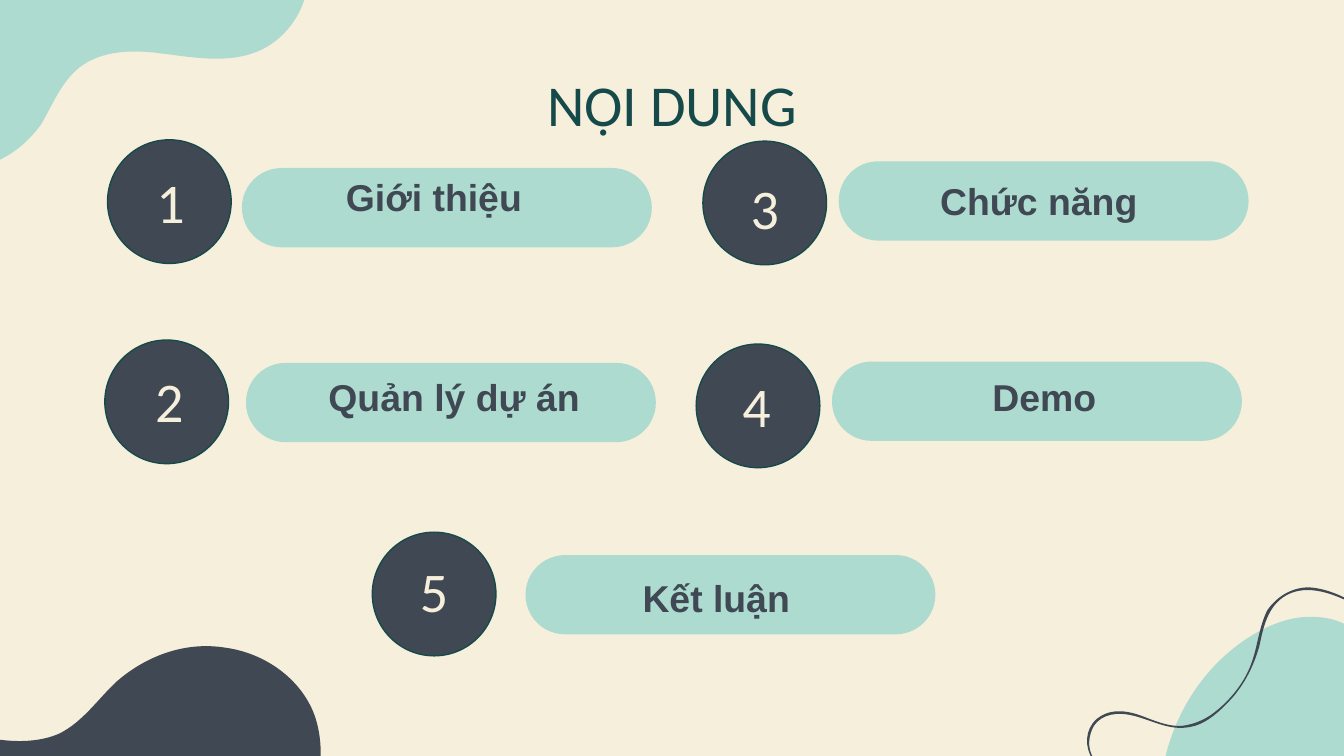
from pptx import Presentation
from pptx.dml.color import RGBColor
from pptx.enum.shapes import MSO_SHAPE
from pptx.enum.text import MSO_ANCHOR, PP_ALIGN
from pptx.oxml.ns import qn
from pptx.util import Pt

PX = 9144
SLIDE_WIDTH = 1000 * PX
SLIDE_HEIGHT = SLIDE_WIDTH * 9 // 16

CREAM = RGBColor(0xF6, 0xEF, 0xDC)
MINT = RGBColor(0xAD, 0xDB, 0xD0)
SLATE = RGBColor(0x3F, 0x48, 0x53)
TEAL = RGBColor(0x16, 0x4A, 0x4A)

BADGE_SIZE = (92, 92)
PILL_SIZE = (305, 59)
NUMBER_SIZE = (74, 77)
LABEL_SIZE = (300, 59)

ITEMS = [
    ("1", "Giới thiệu", (80, 104), (100, 21), (10, 7), (93, 16)),
    ("2", "Quản lý dự án", (78, 253), (105, 17), (11, 6), (110, 16)),
    ("3", "Chức năng", (523, 105), (101, 15), (9, 11), (100, 18)),
    ("4", "Demo", (518, 256), (101, 13), (8, 7), (109, 13)),
    ("5", "Kết luận", (277, 396), (114, 17), (9, 5), (106, 22)),
]

MINT_HILL = [
    (977, 459), (976, 459), (975, 459), (974, 459), (958, 459), (942, 466), (928, 475),
    (896, 496), (874, 530), (866, 568), (866, 568), (1011, 568), (1011, 568),
    (1022, 554), (1030, 539), (1031, 525), (1034, 490), (1012, 459), (977, 459),
]
SLATE_HILL = [
    (234, 532), (224, 505), (197, 486), (168, 482), (138, 477), (109, 488), (87, 507),
    (73, 520), (62, 537), (44, 546), (18, 557), (-13, 549), (-40, 542),
    (-54, 538), (-70, 535), (-84, 535), (-84, 535), (-84, 587), (-84, 587),
    (-84, 587), (235, 587), (235, 587), (240, 568), (240, 549), (234, 532),
]
MINT_CLOUD = [
    (229, -21), (228, -29), (226, -37), (222, -43), (190, -87), (128, -32), (91, -66),
    (74, -82), (69, -93), (41, -84), (18, -77), (-1, -58), (-5, -34),
    (-7, -22), (-5, -9), (-6, 4), (-6, 11), (-7, 19), (-11, 25),
    (-23, 45), (-51, 48), (-63, 68), (-75, 90), (-56, 120), (-32, 124),
    (-7, 128), (17, 112), (31, 92), (39, 78), (45, 63), (57, 52),
    (72, 39), (93, 37), (113, 39), (116, 39), (119, 40), (122, 40),
    (145, 43), (169, 47), (190, 39), (214, 30), (231, 4), (229, -21),
]
SQUIGGLE = [
    (1016, 453), (1002, 445), (989, 438), (974, 437), (961, 437), (950, 444), (943, 454),
    (937, 466), (936, 479), (932, 491), (927, 507), (915, 522), (901, 532),
    (895, 536), (888, 539), (880, 540), (871, 541), (861, 537), (853, 534),
    (841, 529), (827, 526), (816, 535), (807, 543), (807, 556), (813, 565),
    (816, 570), (821, 575), (825, 579), (831, 585), (836, 592), (839, 600),
    (842, 611), (842, 623), (839, 634), (838, 635), (840, 636), (840, 635),
    (844, 622), (844, 608), (839, 596), (836, 590), (833, 585), (829, 580),
    (823, 574), (817, 570), (813, 563), (809, 556), (810, 547), (814, 540),
    (820, 531), (832, 530), (841, 532), (856, 535), (869, 544), (885, 541),
    (898, 539), (909, 528), (918, 518), (927, 507), (933, 495), (937, 481),
    (940, 467), (943, 451), (957, 443), (973, 434), (993, 442), (1008, 450),
    (1010, 452), (1012, 453), (1015, 454), (1016, 455), (1017, 453), (1016, 453),
]


def box(left, top, size):
    """Return left, top, width and height in EMU."""
    return [value * PX for value in (left, top, *size)]


def write_text(frame, text, *, size, font, color, bold=False, spacing=1.0, anchor=MSO_ANCHOR.MIDDLE):
    """Fill a text frame with one centred line in the given format."""
    frame.word_wrap = True
    frame.vertical_anchor = anchor
    frame.margin_left = frame.margin_right = frame.margin_top = frame.margin_bottom = 0
    paragraph = frame.paragraphs[0]
    paragraph.alignment = PP_ALIGN.CENTER
    paragraph.line_spacing = spacing
    run = paragraph.add_run()
    run.text = text
    run.font.size = Pt(size)
    run.font.name = font
    run.font.bold = bold
    run.font.color.rgb = color


def paint(shape, fill, outline=None):
    """Give a shape a flat fill and an optional thin outline."""
    shape.shadow.inherit = False
    shape.fill.solid()
    shape.fill.fore_color.rgb = fill
    if outline is None:
        shape.line.fill.background()
    else:
        shape.line.color.rgb = outline
        shape.line.width = Pt(0.75)


def add_blob(slide, points, fill):
    """Draw a closed outline of cubic curves from a start point and triples of points."""
    start, *rest = points
    builder = slide.shapes.build_freeform(*start, scale=PX)
    builder.add_line_segments(rest, close=True)
    blob = builder.convert_to_shape()
    lines = list(blob._element.iter(qn("a:lnTo")))
    for first, second, third in zip(lines[::3], lines[1::3], lines[2::3]):
        first.tag = qn("a:cubicBezTo")
        for line in (second, third):
            first.append(line[0])
            line.getparent().remove(line)
    paint(blob, fill)


def add_backdrop(slide):
    """Colour the background and place the corner blobs."""
    slide.background.fill.solid()
    slide.background.fill.fore_color.rgb = CREAM
    add_blob(slide, MINT_HILL, MINT)
    add_blob(slide, SLATE_HILL, SLATE)
    add_blob(slide, MINT_CLOUD, MINT)
    add_blob(slide, SQUIGGLE, SLATE)


def add_heading(slide, left, top, size):
    """Place the slide title."""
    heading = slide.shapes.title
    heading.left, heading.top, heading.width, heading.height = box(left, top, size)
    write_text(heading.text_frame, "NỘI DUNG", size=31, font="Calibri", color=TEAL, anchor=MSO_ANCHOR.TOP)


def add_item(slide, number, label, origin, pill_offset, number_offset, label_offset):
    """Place a numbered badge and its labelled pill relative to the badge corner."""
    left, top = origin

    def place(offset, size):
        """Return the box at an offset from the badge corner."""
        return box(left + offset[0], top + offset[1], size)

    pill = slide.shapes.add_shape(MSO_SHAPE.ROUNDED_RECTANGLE, *place(pill_offset, PILL_SIZE))
    pill.adjustments[0] = 0.5
    paint(pill, MINT)
    badge = slide.shapes.add_shape(MSO_SHAPE.OVAL, *place((0, 0), BADGE_SIZE))
    paint(badge, SLATE, outline=TEAL)
    caption = slide.shapes.add_textbox(*place(label_offset, LABEL_SIZE))
    write_text(caption.text_frame, label, size=20, font="Arial", color=SLATE, bold=True, spacing=0.8)
    numeral = slide.shapes.add_textbox(*place(number_offset, NUMBER_SIZE))
    write_text(numeral.text_frame, number, size=30, font="Calibri", color=CREAM)


def main():
    """Build the contents slide and save it."""
    deck = Presentation()
    deck.slide_width, deck.slide_height = SLIDE_WIDTH, SLIDE_HEIGHT
    slide = deck.slides.add_slide(deck.slide_layouts[5])
    add_backdrop(slide)
    add_heading(slide, 78, 51, (844, 50))
    for item in ITEMS:
        add_item(slide, *item)
    deck.save("out.pptx")


if __name__ == "__main__":
    main()
